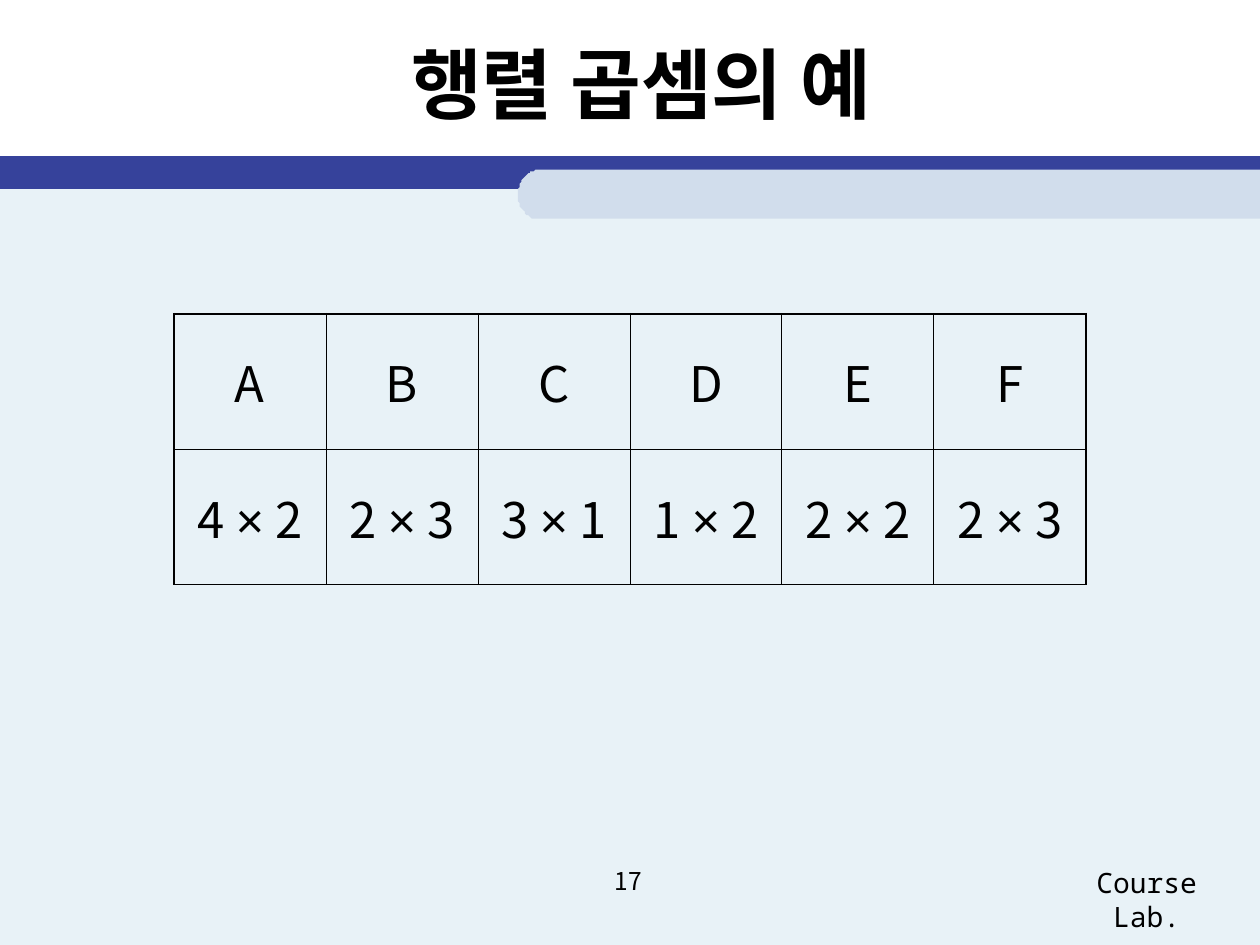
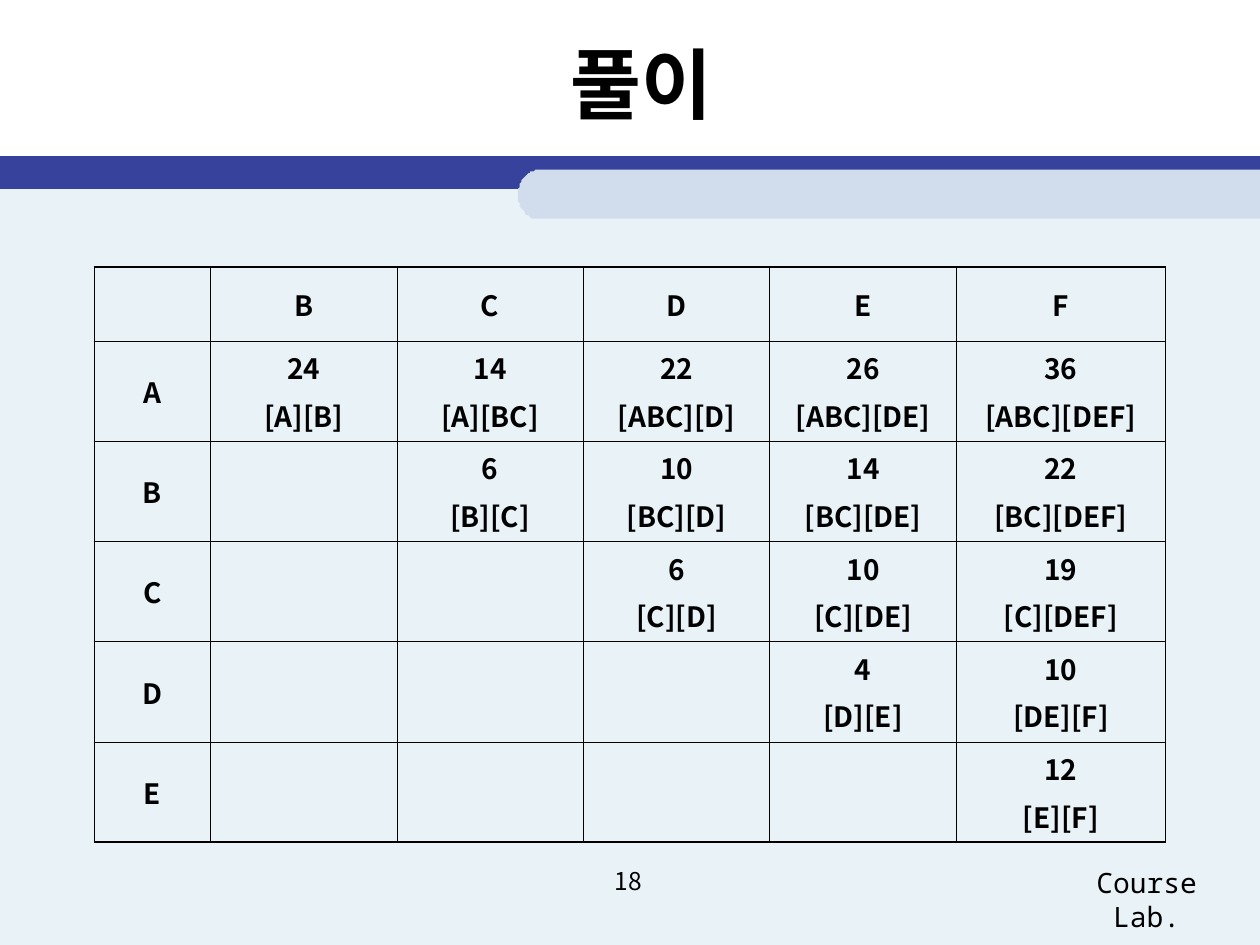
from dataclasses import dataclass
from math import cos, pi, sin

from lxml.etree import SubElement
from pptx import Presentation
from pptx.dml.color import RGBColor
from pptx.enum.shapes import MSO_SHAPE
from pptx.enum.text import MSO_ANCHOR, MSO_AUTO_SIZE, PP_ALIGN
from pptx.oxml import parse_xml
from pptx.oxml.ns import nsdecls, qn
from pptx.util import Pt


@dataclass(frozen=True)
class Theme:
    ink: str = "000000"
    body: str = "E8F2F7"
    band: str = "36429B"
    tab: str = "D1DDEC"
    font: str = "Noto Sans CJK KR"
    symbol_font: str = "Arial"
    footer_font: str = "Noto Sans Mono"
    title_size: float = 44
    number_size: float = 14
    footer_size: float = 16
    inner_line: float = 0.45
    outer_line: float = 1.08


THEME = Theme()


@dataclass(frozen=True)
class Area:
    left: float
    top: float
    width: float
    height: float

    def lengths(self) -> tuple:
        return Pt(self.left), Pt(self.top), Pt(self.width), Pt(self.height)


@dataclass(frozen=True)
class TextStyle:
    size: float
    font: str = THEME.font
    bold: bool = False
    space_before: float = 0


@dataclass(frozen=True)
class Grid:
    left: float
    top: float
    columns: list[float]
    rows: list[float]
    cells: list[list[list[str]]]
    style: TextStyle


SLIDE = Area(0, 0, 720, 540)
BODY = Area(0, 100.8, 720, 439.2)
BAND = Area(0, 89.28, 720, 18.72)
TAB = Area(295.92, 97.2, 424.08, 28.08)
TAB_CURVE = 12.24
TITLE = Area(42.48, 5.76, 648, 82.8)
NUMBER = Area(275.04, 491.04, 167.76, 37.44)
FOOTER = Area(598.32, 491.04, 113.76, 26.64)

TITLE_STYLE = TextStyle(THEME.title_size, bold=True)
NUMBER_STYLE = TextStyle(THEME.number_size)
FOOTER_STYLE = TextStyle(THEME.footer_size, THEME.footer_font, space_before=10)

SIZES = ["4 × 2", "2 × 3", "3 × 1", "1 × 2", "2 × 2", "2 × 3"]
COSTS = [
    [("24", "[A][B]"), ("14", "[A][BC]"), ("22", "[ABC][D]"), ("26", "[ABC][DE]"), ("36", "[ABC][DEF]")],
    [("6", "[B][C]"), ("10", "[BC][D]"), ("14", "[BC][DE]"), ("22", "[BC][DEF]")],
    [("6", "[C][D]"), ("10", "[C][DE]"), ("19", "[C][DEF]")],
    [("4", "[D][E]"), ("10", "[DE][F]")],
    [("12", "[E][F]")],
]


def paint(shape, color: str) -> None:
    shape.shadow.inherit = False
    shape.fill.solid()
    shape.fill.fore_color.rgb = RGBColor.from_string(color)
    shape.line.fill.background()


def add_span(para, text: str, style: TextStyle, font: str) -> None:
    span = para.add_run()
    span.text = text
    span.font.name = font
    span.font.size = Pt(style.size)
    span.font.bold = style.bold
    span.font.color.rgb = RGBColor.from_string(THEME.ink)
    SubElement(span.font._element, qn("a:ea")).set("typeface", font)


def write(frame, lines: list[str], style: TextStyle) -> None:
    for index, line in enumerate(lines):
        para = frame.add_paragraph() if index else frame.paragraphs[0]
        para.alignment = PP_ALIGN.CENTER
        para.space_before = Pt(style.space_before)
        before, sign, after = line.partition("×")
        add_span(para, before, style, style.font)
        if sign:
            add_span(para, sign, style, THEME.symbol_font)
            add_span(para, after, style, style.font)


def add_text(page, area: Area, text: str, style: TextStyle, anchor=MSO_ANCHOR.TOP):
    box = page.shapes.add_textbox(*area.lengths())
    box.text_frame.word_wrap = True
    box.text_frame.vertical_anchor = anchor
    write(box.text_frame, [text], style)
    return box


def add_bar(page, area: Area, color: str) -> None:
    paint(page.shapes.add_shape(MSO_SHAPE.RECTANGLE, *area.lengths()), color)


def add_tab(page) -> None:
    right, bottom = TAB.left + TAB.width, TAB.top + TAB.height
    radius = TAB.height / 2
    steps = 40
    curve = [
        (
            TAB.left + TAB_CURVE * (1 - sin(pi * step / steps)),
            TAB.top + radius * (1 - cos(pi * step / steps)),
        )
        for step in range(steps + 1)
    ]
    builder = page.shapes.build_freeform(right, TAB.top, scale=Pt(1))
    builder.add_line_segments([*curve, (right, bottom)], close=True)
    paint(builder.convert_to_shape(), THEME.tab)


def set_borders(cell, outer_sides: dict[str, bool]) -> None:
    properties = cell._tc.get_or_add_tcPr()
    for index, (side, outer) in enumerate(outer_sides.items()):
        width = Pt(THEME.outer_line if outer else THEME.inner_line)
        properties.insert(index, parse_xml(
            f'<a:ln{side} {nsdecls("a")} w="{width}"><a:solidFill>'
            f'<a:srgbClr val="{THEME.ink}"/></a:solidFill></a:ln{side}>'
        ))


def add_grid(page, grid: Grid) -> None:
    area = Area(grid.left, grid.top, sum(grid.columns), sum(grid.rows))
    last_row, last_column = len(grid.rows) - 1, len(grid.columns) - 1
    table = page.shapes.add_table(last_row + 1, last_column + 1, *area.lengths()).table
    table.first_row = table.horz_banding = False
    for column, width in zip(table.columns, grid.columns):
        column.width = Pt(width)
    for row, height in zip(table.rows, grid.rows):
        row.height = Pt(height)
    for y, line in enumerate(grid.cells):
        for x, content in enumerate(line):
            cell = table.cell(y, x)
            cell.fill.background()
            cell.vertical_anchor = MSO_ANCHOR.MIDDLE
            write(cell.text_frame, content, grid.style)
            set_borders(cell, {"L": x == 0, "R": x == last_column, "T": y == 0, "B": y == last_row})


def add_page(deck, title: str, number: int, grid: Grid) -> None:
    page = deck.slides.add_slide(deck.slide_layouts[6])
    add_bar(page, BODY, THEME.body)
    add_bar(page, BAND, THEME.band)
    add_tab(page)
    footer = add_text(page, FOOTER, "Course Lab.", FOOTER_STYLE)
    footer.text_frame.auto_size = MSO_AUTO_SIZE.SHAPE_TO_FIT_TEXT
    add_text(page, NUMBER, str(number), NUMBER_STYLE)
    add_text(page, TITLE, title, TITLE_STYLE, MSO_ANCHOR.MIDDLE)
    add_grid(page, grid)


def matrix_grid() -> Grid:
    cells = [[[name] for name in "ABCDEF"], [[size] for size in SIZES]]
    return Grid(99.36, 179.28, [86.88] * 6, [77.4] * 2, cells, TextStyle(28, space_before=7))


def cost_grid() -> Grid:
    cells = [[[], *([name] for name in "BCDEF")]]
    for index, (name, costs) in enumerate(zip("ABCDE", COSTS)):
        cells.append([[name], *([] for _ in range(index)), *map(list, costs)])
    columns = [66.24, *[106.56] * 4, 119.52]
    rows = [42.25, *[57.3] * 5]
    return Grid(54, 152.64, columns, rows, cells, TextStyle(16, bold=True, space_before=4))


def main() -> None:
    deck = Presentation()
    deck.slide_width, deck.slide_height = Pt(SLIDE.width), Pt(SLIDE.height)
    add_page(deck, "행렬 곱셈의 예", 17, matrix_grid())
    add_page(deck, "풀이", 18, cost_grid())
    deck.save("out.pptx")


if __name__ == "__main__":
    main()
